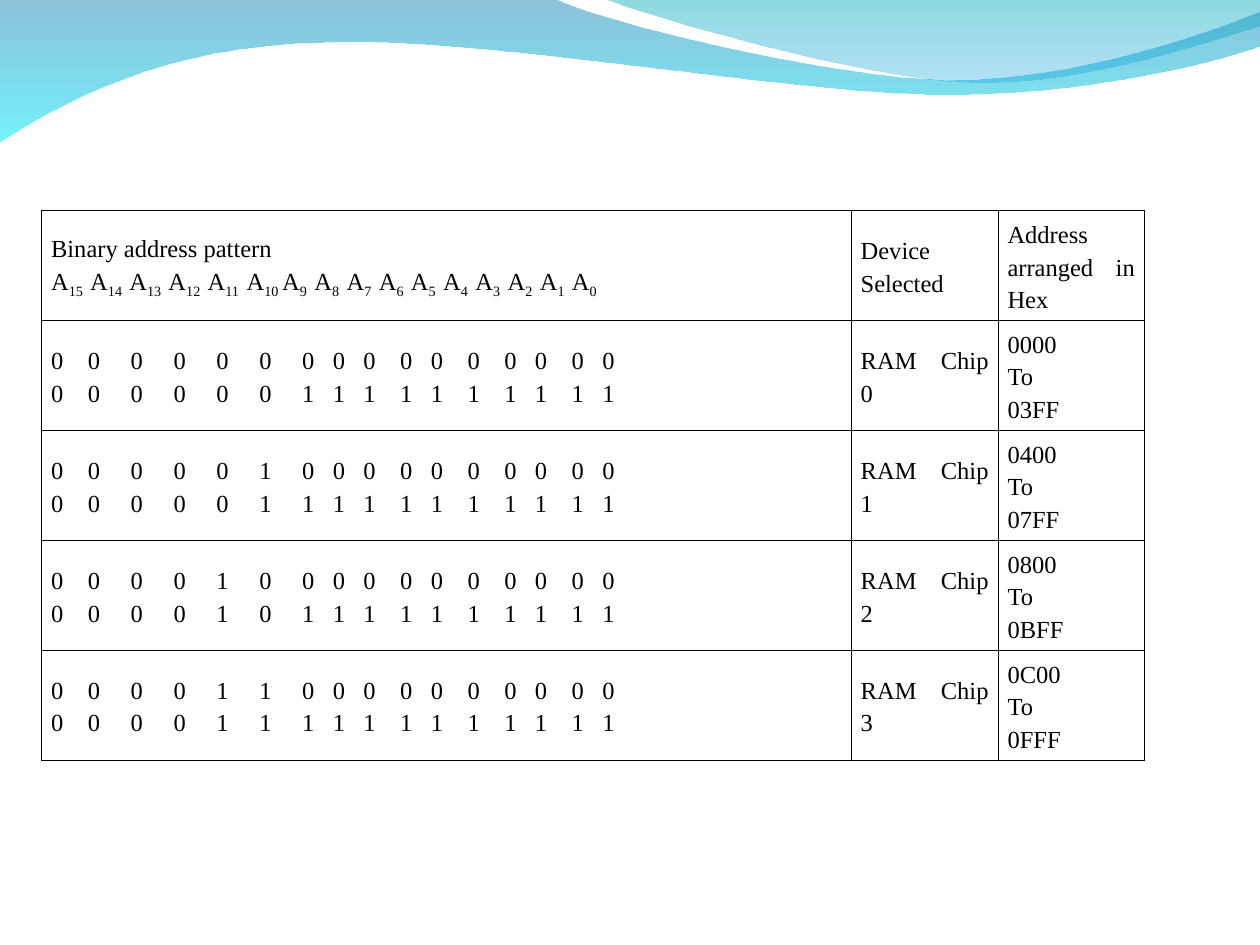
from itertools import accumulate, chain
from lxml.etree import SubElement
from pptx import Presentation
from pptx.dml.color import RGBColor
from pptx.enum.text import MSO_ANCHOR, PP_ALIGN
from pptx.oxml import parse_xml
from pptx.oxml.ns import nsdecls, qn
from pptx.util import Cm, Pt

HEADERS = ["Binary address pattern", "Device Selected", "Address arranged in Hex"]
CHIPS = [
    ("RAM Chip 0", "0000", "03FF"),
    ("RAM Chip 1", "0400", "07FF"),
    ("RAM Chip 2", "0800", "0BFF"),
    ("RAM Chip 3", "0C00", "0FFF"),
]
ADDRESS_LINES = range(15, -1, -1)
WAVES = [
    {
        "start": (0, -0.03),
        "segments": [
            [(11.18, -0.03)],
            [(12.09, 0.43), (16.87, 1.6), (19.25, 1.6)],
            [(21.67, 1.6), (24.33, 0.66), (25.4, 0.23)],
            [(25.43, 0.91)],
            [(24.97, 1.12), (22.1, 1.93), (18.95, 1.9)],
            [(15.8, 1.9), (9.7, 0.71), (6.53, 0.86)],
            [(3.28, 0.89), (1.17, 2.11), (-0.03, 2.87)],
        ],
        "stops": [(0, "0079AF", 45), (100, "00EBF8", 55)],
    },
    {
        "start": (12.17, -0.03),
        "segments": [
            [(12.93, 0.28), (17.32, 1.57), (19.53, 1.65)],
            [(21.74, 1.75), (24.41, 0.81), (25.4, 0.53)],
            [(25.4, 0)],
        ],
        "stops": [(0, "00ADB6", 45), (100, "009BE5", 30)],
    },
]
THEME = {
    "font": {"name": "Times New Roman", "size": Pt(14)},
    "ink": "000000",
    "border": Pt(0.45),
    "subscript": "-25000",
}
PARAGRAPH = {"alignment": PP_ALIGN.JUSTIFY, "line_spacing": 1.2}
CELL = {
    "vertical_anchor": MSO_ANCHOR.MIDDLE,
    "margin_left": Cm(0.19),
    "margin_right": Cm(0.19),
    "margin_top": Cm(0.12),
    "margin_bottom": Cm(0.13),
}
PLAIN_TABLE = {"first_row": False, "horz_banding": False}
COLUMNS = [16.32, 2.96, 2.95]
ROW_HEIGHT = 2.13
LABEL_TABS = list(accumulate([22.35] * 5 + [20.3] + [18.4] * 9))
BIT_GAPS = [4, 5, 5, 5, 5, 5, 3, 3, 4, 3, 4, 4, 3, 4, 3]
BIT_TABS = list(accumulate(7 + 3.5 * gap for gap in BIT_GAPS))


def apply(target, values):
    for name, value in values.items():
        setattr(target, name, value)


def bend(geometry, segments):
    lines = iter(geometry.findall(".//" + qn("a:lnTo")))
    for segment in segments:
        first, *others = [next(lines) for _ in segment]
        if others:
            first.tag = qn("a:cubicBezTo")
        for line in others:
            first.append(line[0])
            line.getparent().remove(line)


def add_wave(s, start, segments, stops):
    outline = [(Cm(x), Cm(y)) for x, y in chain([start], *segments)]
    builder = s.shapes.build_freeform(*outline[0])
    builder.add_line_segments(outline[1:], close=True)
    sp = builder.convert_to_shape()
    sp.shadow.inherit = False
    sp.line.fill.background()
    geometry = sp._element.spPr.find(qn("a:custGeom"))
    bend(geometry, segments)
    colors = "".join(
        f'<a:gs pos="{pos * 1000}"><a:srgbClr val="{color}">'
        f'<a:alpha val="{alpha * 1000}"/></a:srgbClr></a:gs>'
        for pos, color, alpha in stops
    )
    gradient = parse_xml(
        f'<a:gradFill {nsdecls("a")} rotWithShape="1"><a:gsLst>{colors}</a:gsLst>'
        '<a:lin ang="5400000" scaled="0"/></a:gradFill>'
    )
    geometry.addnext(gradient)


def add_run(p, text, subscript=False):
    r = p.add_run()
    r.text = text
    apply(r.font, THEME["font"])
    r.font.color.rgb = RGBColor.from_string(THEME["ink"])
    if subscript:
        r._r.get_or_add_rPr().set("baseline", THEME["subscript"])


def add_tabs(p, positions):
    tabs = SubElement(p._p.get_or_add_pPr(), qn("a:tabLst"))
    for position in positions:
        SubElement(tabs, qn("a:tab"), pos=str(Pt(position)), algn="l")


def fill_cell(cell, lines, tabs=()):
    apply(cell, CELL)
    cell.fill.background()
    for i, side in enumerate(("lnL", "lnR", "lnT", "lnB")):
        border = parse_xml(
            f'<a:{side} {nsdecls("a")} w="{THEME["border"]}"><a:solidFill>'
            f'<a:srgbClr val="{THEME["ink"]}"/></a:solidFill></a:{side}>'
        )
        cell._tc.get_or_add_tcPr().insert(i, border)
    tf = cell.text_frame
    for i, line in enumerate(lines):
        p = tf.add_paragraph() if i else tf.paragraphs[0]
        apply(p, PARAGRAPH)
        if tabs:
            add_tabs(p, tabs)
        for run in line:
            add_run(p, *run)


def label_runs():
    for line in ADDRESS_LINES:
        yield ("A",)
        yield (f"{line}\t" if line else "0", True)


def bits(address):
    return "\t".join(f"{int(address, 16):016b}")


def add_address_table(s):
    rows = len(CHIPS) + 1
    frame = s.shapes.add_table(
        rows, len(COLUMNS), Cm(0.84), Cm(4.24), Cm(sum(COLUMNS)), Cm(ROW_HEIGHT * rows)
    )
    table = frame.table
    apply(table, PLAIN_TABLE)
    for column, width in zip(table.columns, COLUMNS):
        column.width = Cm(width)
    for row in table.rows:
        row.height = Cm(ROW_HEIGHT)
    pattern, device, address = HEADERS
    fill_cell(table.cell(0, 0), [[(pattern,)], label_runs()], LABEL_TABS)
    fill_cell(table.cell(0, 1), [[(device,)]])
    fill_cell(table.cell(0, 2), [[(address,)]])
    for i, (chip, low, high) in enumerate(CHIPS, 1):
        fill_cell(table.cell(i, 0), [[(bits(low),)], [(bits(high),)]], BIT_TABS)
        fill_cell(table.cell(i, 1), [[(chip,)]])
        fill_cell(table.cell(i, 2), [[(text,)] for text in (low, "To", high)])


def main():
    prs = Presentation()
    prs.slide_width, prs.slide_height = Cm(25.4), Cm(19.05)
    s = prs.slides.add_slide(prs.slide_layouts[6])
    for wave in WAVES:
        add_wave(s, **wave)
    add_address_table(s)
    prs.save("out.pptx")


if __name__ == "__main__":
    main()
